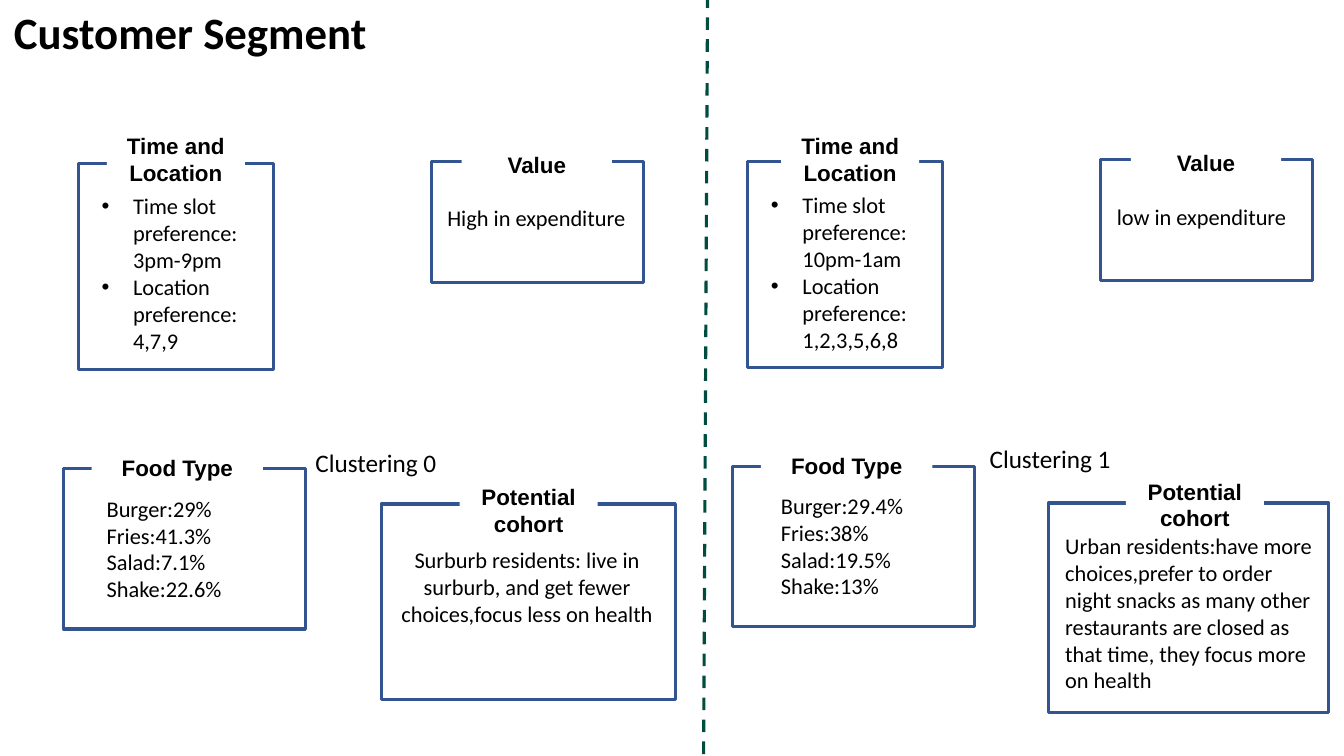
from pptx import Presentation
from pptx import util as u
from pptx.dml.color import RGBColor
from pptx.enum import dml, shapes, text
from lxml import etree
from pptx.oxml import ns

BLACK, WHITE, BLUE, GREEN = "000000", "FFFFFF", "325491", "004D40"
BULLET_INDENT = 22.5

# Each card: frame, heading, heading area, body area, body lines, body format
CLUSTERS = [
    ("Clustering 0", (218.2, 316.1, 101.5, 28.8), [
        ((308.2, 115.2, 151.2, 86.4), "Value", (329.8, 104.4, 107.3, 26.6),
         (312.5, 142.6, 146.9, 26.6), ["High in expenditure"], {"wrap": False}),
        ((45.4, 334.8, 172.8, 114.5), "Food Type", (65.5, 321.1, 122.4, 26.6),
         (69.1, 349.9, 146.9, 85),
         ["Burger:29%", "Fries:41.3%", "Salad:7.1%", "Shake:22.6%"], {}),
        ((56.2, 116.6, 139, 147.6), "Time and Location", (76.3, 90.7, 98.6, 46.1),
         (65.5, 133.9, 118.8, 126.7),
         ["Time slot preference:3pm-9pm", "Location preference:4,7,9"],
         {"bullets": True}),
        ((272.2, 360, 210.2, 139.7), "Potential cohort", (328.3, 341.3, 98.6, 78.5),
         (278.6, 386.6, 195.8, 85),
         ["Surburb residents: live in surburb, and get fewer choices,"
          "focus less on health"], {"centred": True}),
    ]),
    ("Clustering 1", (699.8, 313.2, 101.5, 28.8), [
        ((786.2, 113.8, 151.2, 86.4), "Value", (807.8, 103, 107.3, 26.6),
         (790.6, 141.8, 140.4, 26.6), ["low in expenditure"], {"wrap": False}),
        ((523.4, 333.4, 172.8, 113.8), "Food Type", (543.6, 319.7, 122.4, 26.6),
         (550.8, 347.8, 146.9, 85),
         ["Burger:29.4%", "Fries:38%", "Salad:19.5%", "Shake:13%"], {}),
        ((534.2, 115.2, 139, 147.6), "Time and Location", (558, 90.7, 98.6, 46.1),
         (543.6, 133.2, 118.8, 143.3),
         ["Time slot preference:10pm-1am", "Location preference:1,2,3,5,6,8"],
         {"bullets": True}),
        ((748.8, 359.3, 200.2, 149.8), "Potential cohort", (804.2, 337.7, 98.6, 78.5),
         (753.8, 376.6, 193.7, 123.8),
         ["Urban residents:have more choices,prefer to order night snacks as "
          "many other restaurants are closed as that time, they focus more on "
          "health"], {}),
    ]),
]


def colour(value):
    return RGBColor.from_string(value)


def points(values):
    return [u.Pt(value) for value in values]


def add_bullet(para):
    properties = para._p.get_or_add_pPr()
    properties.set("marL", str(u.Pt(BULLET_INDENT)))
    properties.set("indent", str(-u.Pt(BULLET_INDENT)))
    font = etree.SubElement(properties, ns.qn("a:buFont"))
    font.set("typeface", "Arial")
    etree.SubElement(properties, ns.qn("a:buChar")).set("char", "•")


def write(box, lines, size=16, font="Calibri", bold=False, centred=False,
          bullets=False, wrap=True):
    frame = box.text_frame
    frame.word_wrap = wrap
    frame.vertical_anchor = text.MSO_ANCHOR.TOP
    for index, line in enumerate(lines):
        para = frame.add_paragraph() if index else frame.paragraphs[0]
        para.alignment = text.PP_ALIGN.CENTER if centred else text.PP_ALIGN.LEFT
        if bullets:
            add_bullet(para)
        span = para.add_run()
        span.text = line
        span.font.size = u.Pt(size)
        span.font.name = font
        span.font.bold = bold
        span.font.color.rgb = colour(BLACK)


def add_text(page, area, lines, **style):
    write(page.shapes.add_textbox(*points(area)), lines, **style)


def add_rectangle(page, area, fill=None, line=None):
    box = page.shapes.add_shape(shapes.MSO_SHAPE.RECTANGLE, *points(area))
    box.shadow.inherit = False
    if fill:
        box.fill.solid()
        box.fill.fore_color.rgb = colour(fill)
    else:
        box.fill.background()
    if line:
        box.line.color.rgb = colour(line)
        box.line.width = u.Pt(2.25)
    else:
        box.line.fill.background()
    return box


def add_card(page, frame, heading, heading_area, body_area, lines, style):
    add_rectangle(page, frame, line=BLUE)
    tag = add_rectangle(page, heading_area, fill=WHITE)
    write(tag, [heading], font="Arial", bold=True, centred=True)
    add_text(page, body_area, lines, **style)


def add_divider(page, *ends):
    divider = page.shapes.add_connector(shapes.MSO_CONNECTOR.STRAIGHT, *points(ends))
    divider.line.color.rgb = colour(GREEN)
    divider.line.width = u.Pt(2.25)
    divider.line.dash_style = dml.MSO_LINE.DASH
    etree.SubElement(divider._element.spPr, ns.qn("a:effectLst"))


def main():
    deck = Presentation()
    deck.slide_width, deck.slide_height = points((960, 540))
    page = deck.slides.add_slide(deck.slide_layouts[6])

    # Title
    add_text(page, (2.9, 0, 268.6, 46.1), ["Customer Segment"],
             size=32, bold=True, wrap=False)

    # Cards and label of each cluster
    for label, label_area, cards in CLUSTERS:
        for card in cards:
            add_card(page, *card)
        add_text(page, label_area, [label], size=18, wrap=False)

    # Dashed line between the clusters
    add_divider(page, 502.6, 538.6, 505.4, 0)

    deck.save("out.pptx")


if __name__ == "__main__":
    main()
